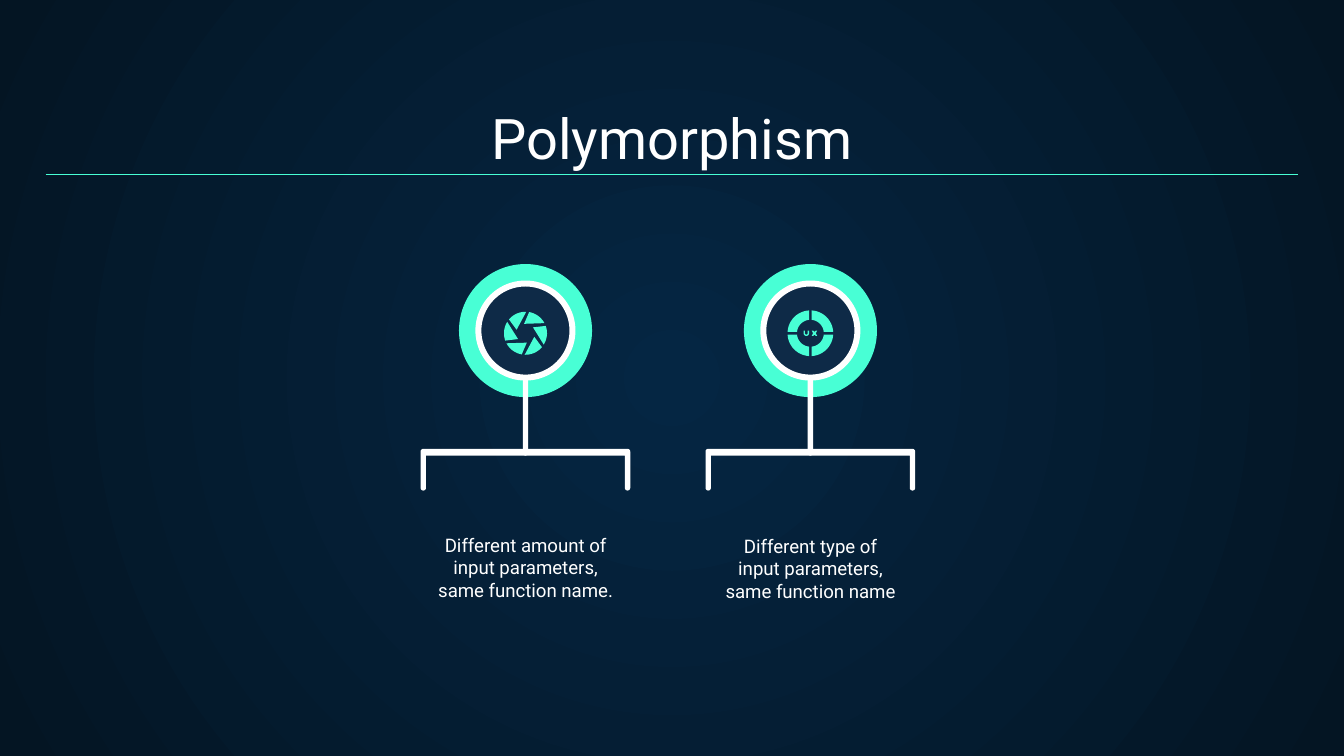
from math import asin, cos, degrees, radians, sin

from pptx import Presentation
from pptx.dml.color import RGBColor
from pptx.enum.shapes import MSO_CONNECTOR, MSO_SHAPE
from pptx.enum.text import MSO_ANCHOR, MSO_AUTO_SIZE, PP_ALIGN
from pptx.oxml import parse_xml
from pptx.oxml.ns import nsdecls, qn
from pptx.util import Inches, Pt

STRAIGHT = MSO_CONNECTOR.STRAIGHT
OVAL = MSO_SHAPE.OVAL
TOP, BOTTOM = MSO_ANCHOR.TOP, MSO_ANCHOR.BOTTOM
NO_FIT = MSO_AUTO_SIZE.NONE
CENTER = PP_ALIGN.CENTER

FONT = "Roboto"
WHITE, MINT, NAVY = "FFFFFF", "48FFD5", "0E2A47"
GLOW, EDGE = "052643", "041523"

DISC_Y, ICON_Y = 2.46, 2.48
BAR = 0.04  # thickness of bracket legs and stem


def color(value):
    return RGBColor.from_string(value)


def set_background(s):
    fill = s.background.fill
    fill.gradient()
    for stop, value in zip(fill.gradient_stops, (GLOW, EDGE)):
        stop.color.rgb = color(value)
    # Turn the linear gradient into a radial one
    grad = s.element.find(".//" + qn("a:gradFill"))
    grad.remove(grad.find(qn("a:lin")))
    grad.append(parse_xml(
        f'<a:path {nsdecls("a")} path="circle">'
        '<a:fillToRect l="50000" t="50000" r="50000" b="50000"/></a:path>'))


def set_text(sp, text, size, anchor):
    tf = sp.text_frame
    margins = dict.fromkeys(
        ("margin_left", "margin_top", "margin_right", "margin_bottom"), Inches(0.1))
    frame = {"word_wrap": True, "auto_size": NO_FIT, "vertical_anchor": anchor}
    for name, value in {**margins, **frame}.items():
        setattr(tf, name, value)
    p = tf.paragraphs[0]
    p.alignment = CENTER
    r = p.add_run()
    r.text = text
    for name, value in {"name": FONT, "size": Pt(size)}.items():
        setattr(r.font, name, value)
    r.font.color.rgb = color(WHITE)


def add_title(s, text):
    sp = s.shapes.title
    box = {"left": 0.34, "top": 0.71, "width": 9.32, "height": 0.66}
    for name, value in box.items():
        setattr(sp, name, Inches(value))
    set_text(sp, text, 30, BOTTOM)


def add_rule(s):
    line = s.shapes.add_connector(
        STRAIGHT, Inches(0.34), Inches(1.3), Inches(9.66), Inches(1.3))
    line.line.color.rgb = color(MINT)
    line.line.width = Pt(0.75)
    line._element.spPr.append(parse_xml(f'<a:effectLst {nsdecls("a")}/>'))


def add_disc(s, cx, diameter, fill, outline=None):
    left, top = cx - diameter / 2, DISC_Y - diameter / 2
    sp = s.shapes.add_shape(
        OVAL, Inches(left), Inches(top), Inches(diameter), Inches(diameter))
    sp.shadow.inherit = False
    sp.fill.solid()
    sp.fill.fore_color.rgb = color(fill)
    if outline:
        sp.line.color.rgb = color(outline)
        sp.line.width = Pt(3.2)
    else:
        sp.line.fill.background()


def add_polygon(shapes, cx, cy, points, fill):
    """Draw a closed outline from points relative to (cx, cy)."""
    pts = [(Inches(cx + x), Inches(cy + y)) for x, y in points]
    builder = shapes.build_freeform(*pts[0], scale=1.0)
    builder.add_line_segments(pts[1:], close=True)
    sp = builder.convert_to_shape()
    sp.shadow.inherit = False
    sp.fill.solid()
    sp.fill.fore_color.rgb = color(fill)
    sp.line.fill.background()


def arc(cx, cy, radius, start, end, steps=12):
    """Points on a circle, clockwise from the right, in degrees."""
    angles = [radians(start + (end - start) * i / steps) for i in range(steps + 1)]
    return [(cx + radius * cos(a), cy + radius * sin(a)) for a in angles]


def rotate(points, angle):
    c, n = cos(radians(angle)), sin(radians(angle))
    return [(x * c - y * n, x * n + y * c) for x, y in points]


def add_stem(s, cx):
    r = BAR / 2
    points = arc(0, r, r, 180, 360) + arc(0, 1 - r, r, 0, 180)
    add_polygon(s.shapes, cx, 2.39, points, WHITE)


def add_bracket(s, cx):
    half, height, r = 0.78, 0.31, BAR / 2
    x, inner, beam = half - r, half - BAR, 0.05
    points = (arc(-x, r, r, 180, 270) + arc(x, r, r, 270, 360)
              + arc(x, height - r, r, 0, 180)
              + [(inner, beam), (-inner, beam)]
              + arc(-x, height - r, r, 0, 180))
    add_polygon(s.shapes, cx, 3.34, points, WHITE)


def add_aperture(s, cx):
    group = s.shapes.add_group_shape()
    blade = [(-0.01, -0.07)] + arc(0, 0, 0.16, -80, -28)
    for i in range(6):
        add_polygon(group.shapes, cx, ICON_Y, rotate(blade, 60 * i), MINT)


def add_ux_wheel(s, cx):
    group = s.shapes.add_group_shape()
    # Four ring segments, separated by even gaps
    outer, inner, half_gap = 0.17, 0.1, 0.01
    a, b = (degrees(asin(half_gap / radius)) for radius in (outer, inner))
    segment = arc(0, 0, outer, a, 90 - a) + arc(0, 0, inner, 90 - b, b)
    for i in range(4):
        add_polygon(group.shapes, cx, ICON_Y, rotate(segment, 90 * i), MINT)
    # Letter outlines
    letter_u = ([(-0.05, -0.02)] + arc(-0.03, 0, 0.02, 180, 0)
                + [(-0.01, -0.02), (-0.02, -0.02)]
                + arc(-0.03, 0, 0.01, 0, 180) + [(-0.04, -0.02)])
    letter_x = [(0.01, -0.02), (0.02, -0.02), (0.03, -0.01), (0.04, -0.02),
                (0.05, -0.02), (0.04, 0), (0.05, 0.02), (0.04, 0.02),
                (0.03, 0.01), (0.02, 0.02), (0.01, 0.02), (0.02, 0)]
    for letter in (letter_u, letter_x):
        add_polygon(group.shapes, cx, ICON_Y, letter, MINT)


def add_branch(s, cx, text, text_top, add_icon):
    add_bracket(s, cx)
    add_disc(s, cx, 0.99, MINT)
    add_stem(s, cx)
    add_disc(s, cx, 0.7, NAVY, WHITE)
    add_icon(s, cx)
    sp = s.shapes.add_textbox(
        Inches(cx - 0.76), Inches(text_top), Inches(1.52), Inches(0.55))
    set_text(sp, text, 10, TOP)


def main():
    prs = Presentation()
    prs.slide_width = Inches(10)
    prs.slide_height = Inches(10) * 9 // 16
    s = prs.slides.add_slide(prs.slide_layouts[5])
    set_background(s)
    add_title(s, "Polymorphism")
    add_branch(s, 3.91, "Different amount of input parameters, same function name.",
               3.87, add_aperture)
    add_branch(s, 6.03, "Different type of input parameters, same function name",
               3.88, add_ux_wheel)
    add_rule(s)
    prs.save("out.pptx")


if __name__ == "__main__":
    main()
